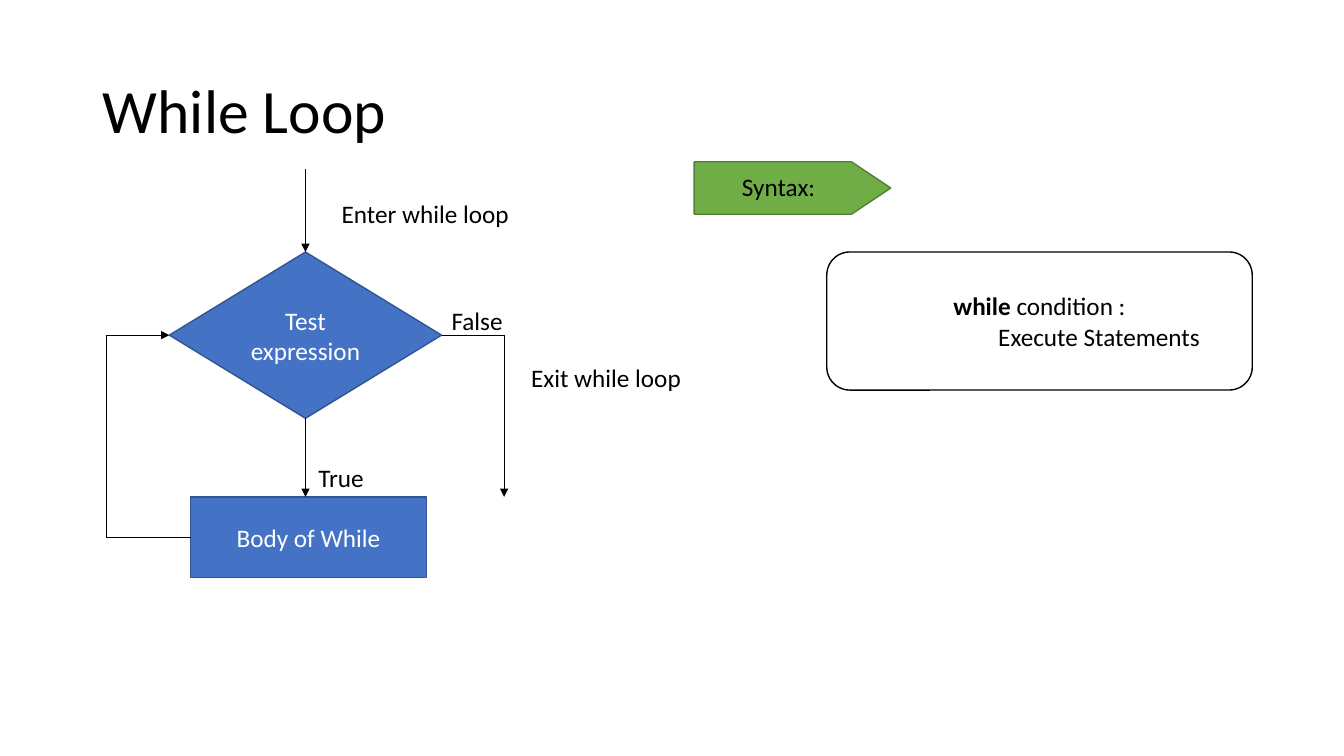
import pptx
import pptx.util
import pptx.dml.color
import pptx.enum.shapes
import pptx.enum.text
import pptx.oxml
from pptx.oxml.ns import qn

Inches, Pt = pptx.util.Inches, pptx.util.Pt
SHAPE = pptx.enum.shapes.MSO_SHAPE
ALIGN = pptx.enum.text.PP_ALIGN
ANCHOR = pptx.enum.text.MSO_ANCHOR
FONT = "Calibri"
BLACK, WHITE, BLUE, DARK_BLUE, GREEN, DARK_GREEN = (
    "000000", "FFFFFF", "4472C4", "325491", "70AD47", "538035")
TOP, LEFT, BOTTOM, RIGHT = range(4)

# Content: boxes are left, top, width, height in inches
TITLE = "While Loop"
TEST = ("Test expression", (1.68, 2.5, 2.7, 1.65))
BODY = ("Body of While", (1.89, 4.93, 2.34, 0.8))
SYNTAX_BOX = (8.2, 2.5, 4.22, 1.37)
SYNTAX_LINES = [
    [("while", True), (" condition :", False)],
    [("                     Execute Statements", False)],
]
LABELS = [
    ("Enter while loop", (3.29, 1.92, 1.88, 0.4)),
    ("Exit while loop", (5.17, 3.55, 1.7, 0.4)),
    ("True", (3.06, 4.54, 0.66, 0.4)),
    ("False", (4.38, 2.98, 0.71, 0.4)),
    ("Syntax:", (7.26, 1.65, 0.94, 0.4)),
]
SYNTAX_TAG = (7.6, 0.89, 0.52, 1.95)  # before its quarter turn
ENTRY_Y, RETURN_X, EXIT_X = 1.68, 1.05, 5


def rgb(value):
    return pptx.dml.color.RGBColor.from_string(value)


def style(run, size=18, color=BLACK, bold=False):
    run.font.name, run.font.size, run.font.bold = FONT, Pt(size), bold
    run.font.color.rgb = rgb(color)


def add_box(kind, box, fill, line):
    shape = slide.shapes.add_shape(kind, *map(Inches, box))
    shape.shadow.inherit = False
    shape.fill.solid()
    shape.fill.fore_color.rgb = rgb(fill)
    shape.line.color.rgb = rgb(line)
    shape.line.width = Pt(1)
    shape.text_frame.vertical_anchor = ANCHOR.MIDDLE
    return shape


def add_step(kind, step):
    text, box = step
    shape = add_box(kind, box, BLUE, DARK_BLUE)
    shape.text_frame.text = text
    paragraph = shape.text_frame.paragraphs[0]
    paragraph.alignment = ALIGN.CENTER
    style(paragraph.runs[0], color=WHITE)
    return shape


def add_flow(start, end, arrow=False, begin=None, finish=None):
    flow = slide.shapes.add_connector(
        pptx.enum.shapes.MSO_CONNECTOR.STRAIGHT, *map(Inches, start + end))
    if begin:
        flow.begin_connect(*begin)
    if finish:
        flow.end_connect(*finish)
    flow.line.color.rgb = rgb(BLACK)
    flow.line.width = Pt(0.5)
    if arrow:
        head = pptx.oxml.parse_xml(
            '<a:tailEnd xmlns:a="http://schemas.openxmlformats.org/drawingml/2006/main"'
            ' type="triangle"/>')
        flow.line._get_or_add_ln().append(head)
    properties = flow._element.spPr
    properties.append(properties.makeelement(qn("a:effectLst"), {}))


prs = pptx.Presentation()
prs.slide_width, prs.slide_height = Inches(13.33), Inches(7.5)
slide = prs.slides.add_slide(prs.slide_layouts[5])

# Title
title = slide.shapes.title
title.left, title.top, title.width, title.height = map(Inches, (0.92, 0.4, 11.5, 1.45))
title.text_frame.text = TITLE
title.text_frame.vertical_anchor = ANCHOR.MIDDLE
heading = title.text_frame.paragraphs[0]
heading.alignment = ALIGN.LEFT
heading.line_spacing = 0.9
style(heading.runs[0], 44)

# Flowchart steps
test = add_step(SHAPE.DIAMOND, TEST)
body = add_step(SHAPE.RECTANGLE, BODY)

# Flow lines, placed from the steps they touch
test_left, test_top, test_width, test_height = TEST[1]
body_left, body_top, _, body_height = BODY[1]
test_x, test_y = test_left + test_width / 2, test_top + test_height / 2
body_y = body_top + body_height / 2
add_flow((test_x, ENTRY_Y), (test_x, test_top), arrow=True, finish=(test, TOP))
add_flow((test_x, test_top + test_height), (test_x, body_top), arrow=True,
         begin=(test, BOTTOM))
add_flow((test_left + test_width, test_y), (EXIT_X, test_y), begin=(test, RIGHT))
add_flow((EXIT_X, test_y), (EXIT_X, body_top), arrow=True)
add_flow((body_left, body_y), (RETURN_X, body_y), begin=(body, LEFT))
add_flow((RETURN_X, body_y), (RETURN_X, test_y))
add_flow((RETURN_X, test_y), (test_left, test_y), arrow=True, finish=(test, LEFT))

# Syntax tag, pointing right
tag = add_box(SHAPE.FLOWCHART_OFFPAGE_CONNECTOR, SYNTAX_TAG, GREEN, DARK_GREEN)
tag.rotation = 270

# Labels
for text, box in LABELS:
    label = slide.shapes.add_textbox(*map(Inches, box))
    label.text_frame.word_wrap = False
    label.text_frame.auto_size = pptx.enum.text.MSO_AUTO_SIZE.SHAPE_TO_FIT_TEXT
    label.text_frame.text = text
    style(label.text_frame.paragraphs[0].runs[0])

# Syntax code
syntax = add_box(SHAPE.ROUNDED_RECTANGLE, SYNTAX_BOX, WHITE, BLACK)
for index, parts in enumerate(SYNTAX_LINES):
    frame = syntax.text_frame
    paragraph = frame.add_paragraph() if index else frame.paragraphs[0]
    paragraph.alignment = ALIGN.CENTER
    for text, bold in parts:
        run = paragraph.add_run()
        run.text = text
        style(run, bold=bold)

prs.save("out.pptx")
